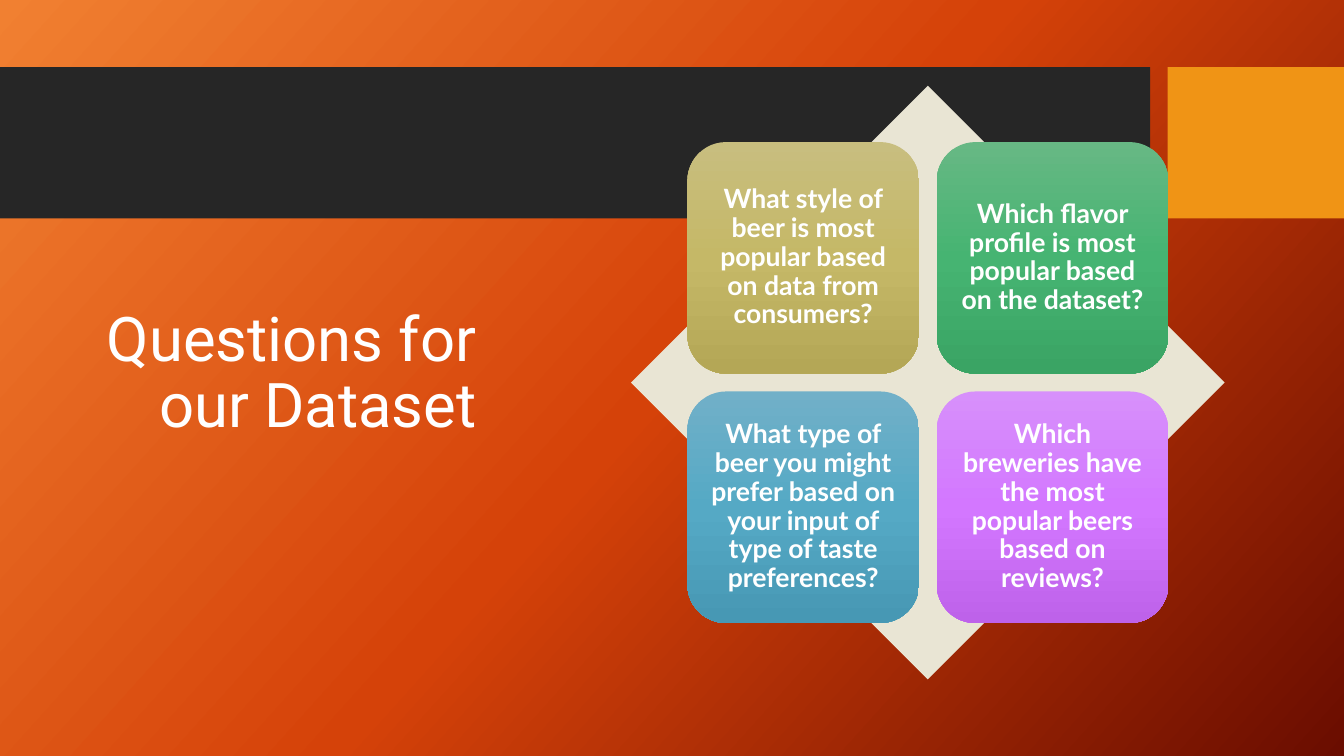
import copy
from dataclasses import dataclass

import pptx
import pptx.dml.color
import pptx.dml.fill
import pptx.enum.shapes
import pptx.enum.text
import pptx.shapes.autoshape
import pptx.util

RGB = pptx.dml.color.RGBColor.from_string
KIND = pptx.enum.shapes.MSO_SHAPE
ALIGN = pptx.enum.text.PP_ALIGN

WIDE, HIGH = pptx.util.Inches(13.33), pptx.util.Inches(7.5)
COLS, ROWS = 80, 45


@dataclass(frozen=True)
class Theme:
    back: tuple[str, ...] = ("F18031", "D54209", "6A0D00")
    dark: str = "262626"
    amber: str = "F09415"
    cream: str = "E9E5D4"
    white: str = "FFFFFF"
    head: str = "Roboto"
    body: str = "Lato"
    big: int = 44
    small: int = 19


@dataclass(frozen=True)
class Box:
    """Place and size in grid columns and rows."""
    col: float
    row: float
    cols: float
    rows: float

    def place(self) -> tuple[int, int, int, int]:
        return (round(WIDE * self.col / COLS), round(HIGH * self.row / ROWS),
                round(WIDE * self.cols / COLS), round(HIGH * self.rows / ROWS))


@dataclass(frozen=True)
class Tile:
    text: str
    tones: tuple[str, ...]


THEME = Theme()
BAR = Box(0, 4, 68.46, 9)
TAB = Box(69.5, 4, 10.5, 9)
TITLE = Box(4.44, 13.56, 24.54, 17.46)
GEM = Box(37.56, 5.1, 35.34, 35.34)

# Shares of the diamond's width
EDGE, SIDE, STEP = 0.095, 0.39, 0.42

TILES = (
    Tile("What style of beer is most popular based on data from consumers?",
         ("C8BE7F", "C5B867", "B4A756")),
    Tile("Which flavor profile is most popular based on the dataset?",
         ("67B884", "46B472", "3AA464")),
    Tile("What type of beer you might prefer based on your input of type of taste preferences?",
         ("71B0C8", "55A9C5", "4798B4")),
    Tile("Which breweries have the most popular beers based on reviews?",
         ("D790FB", "D377FF", "BE62EA")),
)


def blend(fill: pptx.dml.fill.FillFormat, root, tones: tuple[str, ...], turn: float) -> None:
    """Fill with evenly spaced tones, turned clockwise by degrees."""
    fill.gradient()
    fill.gradient_angle = 360 - turn
    stops = root.xpath(".//a:gsLst")[0]
    for _ in range(len(tones) - len(stops)):
        stops.append(copy.deepcopy(stops[0]))
    for i, (stop, tone) in enumerate(zip(fill.gradient_stops, tones)):
        stop.position = i / (len(tones) - 1)
        stop.color.rgb = RGB(tone)


def draw(shapes, kind: KIND, box: Box, tone: str = "") -> pptx.shapes.autoshape.Shape:
    shape = shapes.add_shape(kind, *box.place())
    shape.shadow.inherit = False
    shape.line.fill.background()
    if tone:
        shape.fill.solid()
        shape.fill.fore_color.rgb = RGB(tone)
    return shape


def write(shape, text: str, face: str, size: int, bold: bool, align: ALIGN) -> None:
    frame = shape.text_frame
    frame.word_wrap = True
    frame.vertical_anchor = pptx.enum.text.MSO_ANCHOR.MIDDLE
    para = frame.paragraphs[0]
    para.text = text
    para.alignment = align
    para.line_spacing = 0.9
    font = para.font
    font.name, font.size, font.bold = face, pptx.util.Pt(size), bold
    font.color.rgb = RGB(THEME.white)


def ask(shapes, tile: Tile, spot: int) -> None:
    """Draw a question tile at its spot in the two-by-two block."""
    row, col = divmod(spot, 2)
    unit = GEM.cols
    box = Box(GEM.col + unit * (EDGE + STEP * col), GEM.row + unit * (EDGE + STEP * row),
              unit * SIDE, unit * SIDE)
    shape = draw(shapes, KIND.ROUNDED_RECTANGLE, box)
    blend(shape.fill, shape.element, tile.tones, 90)
    frame = shape.text_frame
    frame.margin_left = frame.margin_right = pptx.util.Inches(0.08)
    frame.margin_top = frame.margin_bottom = pptx.util.Inches(0.08)
    write(shape, tile.text, THEME.body, THEME.small, True, ALIGN.CENTER)


def main() -> None:
    deck = pptx.Presentation()
    deck.slide_width, deck.slide_height = WIDE, HIGH
    slide = deck.slides.add_slide(deck.slide_layouts[6])
    blend(slide.background.fill, slide.element, THEME.back, 42)

    draw(slide.shapes, KIND.RECTANGLE, BAR, THEME.dark)
    draw(slide.shapes, KIND.RECTANGLE, TAB, THEME.amber)
    title = slide.shapes.add_textbox(*TITLE.place())
    write(title, "Questions for our Dataset", THEME.head, THEME.big, False, ALIGN.RIGHT)

    group = slide.shapes.add_group_shape()
    draw(group.shapes, KIND.DIAMOND, GEM, THEME.cream)
    for spot, tile in enumerate(TILES):
        ask(group.shapes, tile, spot)
    deck.save("out.pptx")


if __name__ == "__main__":
    main()
